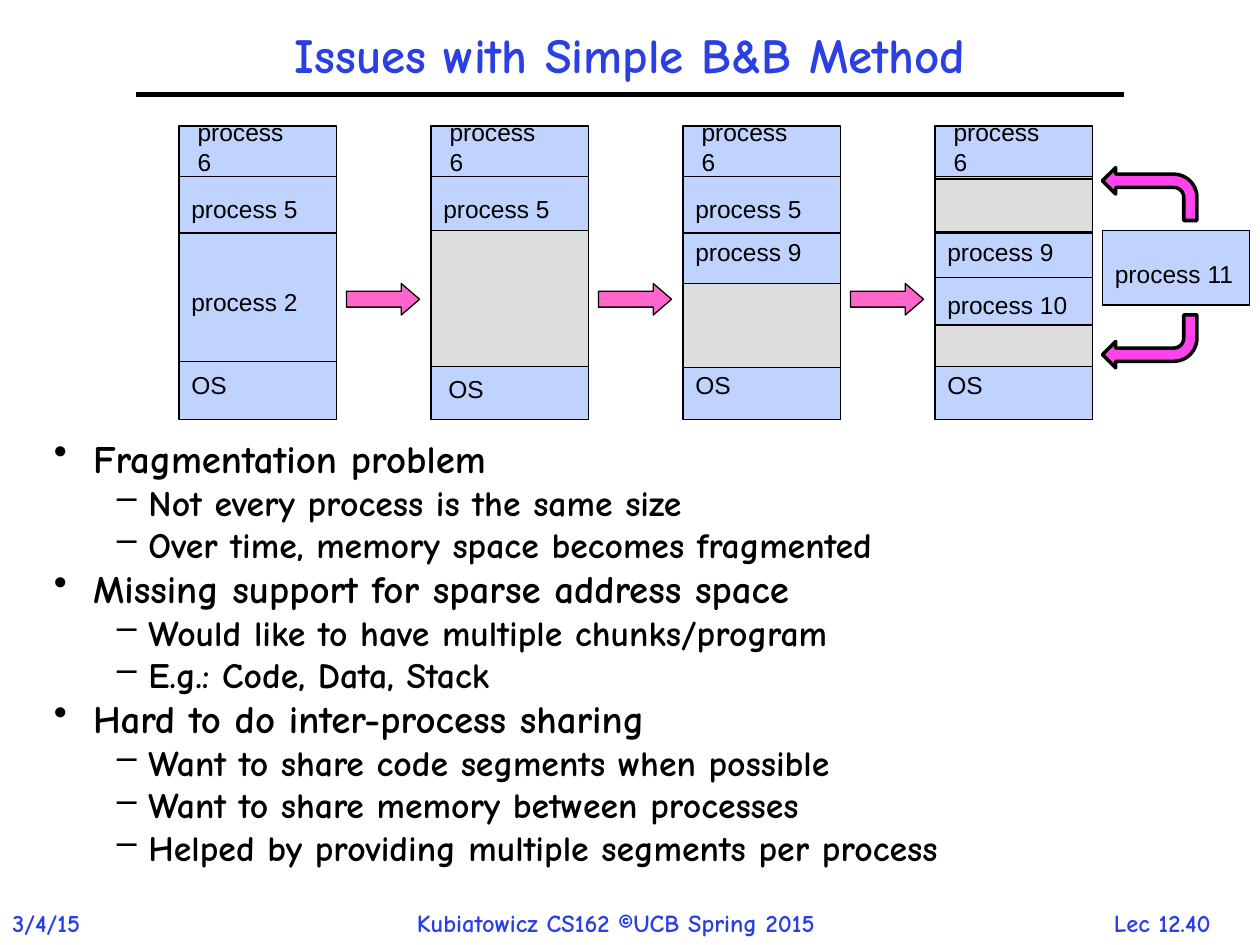
from lxml import etree
from pptx import Presentation
from pptx.dml.color import RGBColor
from pptx.enum.shapes import MSO_CONNECTOR, MSO_SHAPE
from pptx.enum.text import MSO_ANCHOR, PP_ALIGN
from pptx.oxml.ns import qn
from pptx.util import Inches, Pt

RECTANGLE, RIGHT_ARROW, BENT_ARROW = MSO_SHAPE.RECTANGLE, MSO_SHAPE.RIGHT_ARROW, MSO_SHAPE.BENT_ARROW
STRAIGHT = MSO_CONNECTOR.STRAIGHT
TOP, MIDDLE = MSO_ANCHOR.TOP, MSO_ANCHOR.MIDDLE
LEFT, CENTER = PP_ALIGN.LEFT, PP_ALIGN.CENTER

BLACK, BLUE, MEMORY, FREE, STEP, CHOICE = "000000", "2A40E2", "C0D2FE", "DDDDDD", "FF66CC", "FF44EC"
HEADING = {"name": "Comic Neue", "size": Pt(28), "bold": True}
FOOTER = {"name": "Comic Neue", "size": Pt(14), "bold": True}
LABEL = {"name": "Arial", "size": Pt(14), "bold": False}

TITLE = "Issues with Simple B&B Method"
FOOTERS = [
    ("3/4/15", 0, 0.88, LEFT),
    ("Kubiatowicz CS162 ©UCB Spring 2015", 3.21, 3.87, LEFT),
    ("Lec 12.40", 8.56, 1.33, CENTER),
]
TOPICS = [
    ("Fragmentation problem", [
        "Not every process is the same size",
        "Over time, memory space becomes fragmented"]),
    ("Missing support for sparse address space", [
        "Would like to have multiple chunks/program",
        "E.g.: Code, Data, Stack"]),
    ("Hard to do inter-process sharing", [
        "Want to share code segments when possible",
        "Want to share memory between processes",
        "Helped by providing multiple segments per process"]),
]
BULLETS = [
    {"mark": "•", "size": 22.2, "margin": 0.31, "hang": 0.31, "before": 7.5},
    {"mark": "–", "size": 20.4, "margin": 0.75, "hang": 0.25, "before": 7},
]

FIRST_LEFT, COLUMN_STEP, COLUMN_WIDTH = 1.42, 2, 1.25
COLUMN_TOP, COLUMN_HEIGHT = 1, 2.33
DIVIDERS = [1.4, 1.85, 2.87]
STAGES = [
    {"labels": [("process 5", 0, 1.49), ("process 2", 0, 2.23), ("OS", 0, 2.89)],
     "free": [], "extra": []},
    {"labels": [("process 5", 0, 1.49), ("OS", 0.04, 2.92)],
     "free": [(1.83, 1.08)], "extra": []},
    {"labels": [("process 5", 0, 1.49), ("process 9", 0, 1.83), ("OS", 0, 2.89)],
     "free": [(2.25, 0.67)], "extra": []},
    {"labels": [("process 9", 0, 1.83), ("process 10", 0, 2.25), ("OS", 0, 2.89)],
     "free": [(2.58, 0.33), (1.42, 0.42)], "extra": [2.2]},
]
CHOICES = [(1.33, {"flipH": "1"}), (2.5, {"flipH": "1", "flipV": "1"})]


def color(value):
    """Turn a hex string into a colour."""
    return RGBColor.from_string(value)


def add_span(para, text, style, ink):
    """Add one formatted run to a paragraph."""
    span = para.add_run()
    span.text = text
    for name, value in style.items():
        setattr(span.font, name, value)
    span.font.color.rgb = color(ink)


def add_text(page, text, place, style, ink=BLACK, align=LEFT, anchor=MIDDLE):
    """Add a wrapped one-paragraph text box."""
    box = page.shapes.add_textbox(*map(Inches, place))
    frame = box.text_frame
    frame.word_wrap, frame.vertical_anchor = True, anchor
    para = frame.paragraphs[0]
    para.alignment = align
    add_span(para, text, style, ink)
    return para


def add_block(page, kind, place, fill, weight=0.75):
    """Add a filled and outlined preset shape."""
    block = page.shapes.add_shape(kind, *map(Inches, place))
    block.shadow.inherit = False
    block.fill.solid()
    block.fill.fore_color.rgb = color(fill)
    block.line.color.rgb = color(BLACK)
    block.line.width = Pt(weight)
    return block


def add_rule(page, left, right, top, weight=0.75):
    """Add a horizontal line without a shadow."""
    rule = page.shapes.add_connector(STRAIGHT, *map(Inches, (left, top, right, top)))
    rule.line.color.rgb = color(BLACK)
    rule.line.width = Pt(weight)
    etree.SubElement(rule._element.spPr, qn("a:effectLst"))


def add_stage(page, number, stage):
    """Draw one memory column and the arrow leading to it."""
    left = FIRST_LEFT + number * COLUMN_STEP
    add_block(page, RECTANGLE, (left, COLUMN_TOP, COLUMN_WIDTH, COLUMN_HEIGHT), MEMORY)
    for top in DIVIDERS + stage["extra"]:
        add_rule(page, left, left + COLUMN_WIDTH, top)
    for top, height in stage["free"]:
        add_block(page, RECTANGLE, (left, top, COLUMN_WIDTH, height), FREE)
    add_text(page, "process 6", (left + 0.05, COLUMN_TOP, 1.04, 0.33), LABEL)
    for text, shift, top in stage["labels"]:
        add_text(page, text, (left + shift, top, 1.17, 0.33), LABEL)
    if number:
        arrow = add_block(page, RIGHT_ARROW, (left - 0.67, 2.25, 0.58, 0.25), STEP)
        arrow.adjustments[1] = 0.58


def add_choices(page):
    """Draw the waiting process and the two places it could go."""
    block = add_block(page, RECTANGLE, (8.75, 1.83, 1.17, 0.59), MEMORY)
    frame = block.text_frame
    frame.vertical_anchor, frame.margin_top = MIDDLE, Inches(0.15)
    para = frame.paragraphs[0]
    para.alignment = LEFT
    add_span(para, "process 11", LABEL, BLACK)
    for top, flips in CHOICES:
        arrow = add_block(page, BENT_ARROW, (8.75, top, 0.75, 0.42), CHOICE, 2)
        for name, value in flips.items():
            arrow._element.spPr.find(qn("a:xfrm")).set(name, value)


def add_topics(page):
    """Write the two-level bullet list."""
    box = page.shapes.add_textbox(*map(Inches, (0.33, 3.5, 9.42, 3.67)))
    frame = box.text_frame
    frame.word_wrap = True
    rows = [(level, text) for topic, points in TOPICS
            for level, text in [(0, topic)] + [(1, point) for point in points]]
    for number, (level, text) in enumerate(rows):
        para = frame.add_paragraph() if number else frame.paragraphs[0]
        bullet = BULLETS[level]
        para.level, para.line_spacing, para.space_before = level, 0.7, Pt(bullet["before"])
        settings = para._p.get_or_add_pPr()
        settings.set("marL", str(Inches(bullet["margin"])))
        settings.set("indent", str(-Inches(bullet["hang"])))
        etree.SubElement(settings, qn("a:buChar")).set("char", bullet["mark"])
        add_span(para, text, {**HEADING, "size": Pt(bullet["size"])}, BLACK)


def main():
    """Build the slide and save it."""
    deck = Presentation()
    deck.slide_width, deck.slide_height = Inches(10), Inches(7.5)
    page = deck.slides.add_slide(deck.slide_layouts[6])
    for text, left, width, align in FOOTERS:
        add_text(page, text, (left, 7.16, width, 0.34), FOOTER, BLUE, align, TOP)
    add_rule(page, 1.08, 8.92, 0.75, 3)
    add_text(page, TITLE, (0, 0.17, 10, 0.58), HEADING, BLUE, CENTER).line_spacing = 0.9
    add_topics(page)
    for number, stage in enumerate(STAGES):
        add_stage(page, number, stage)
    add_choices(page)
    deck.save("out.pptx")


if __name__ == "__main__":
    main()
